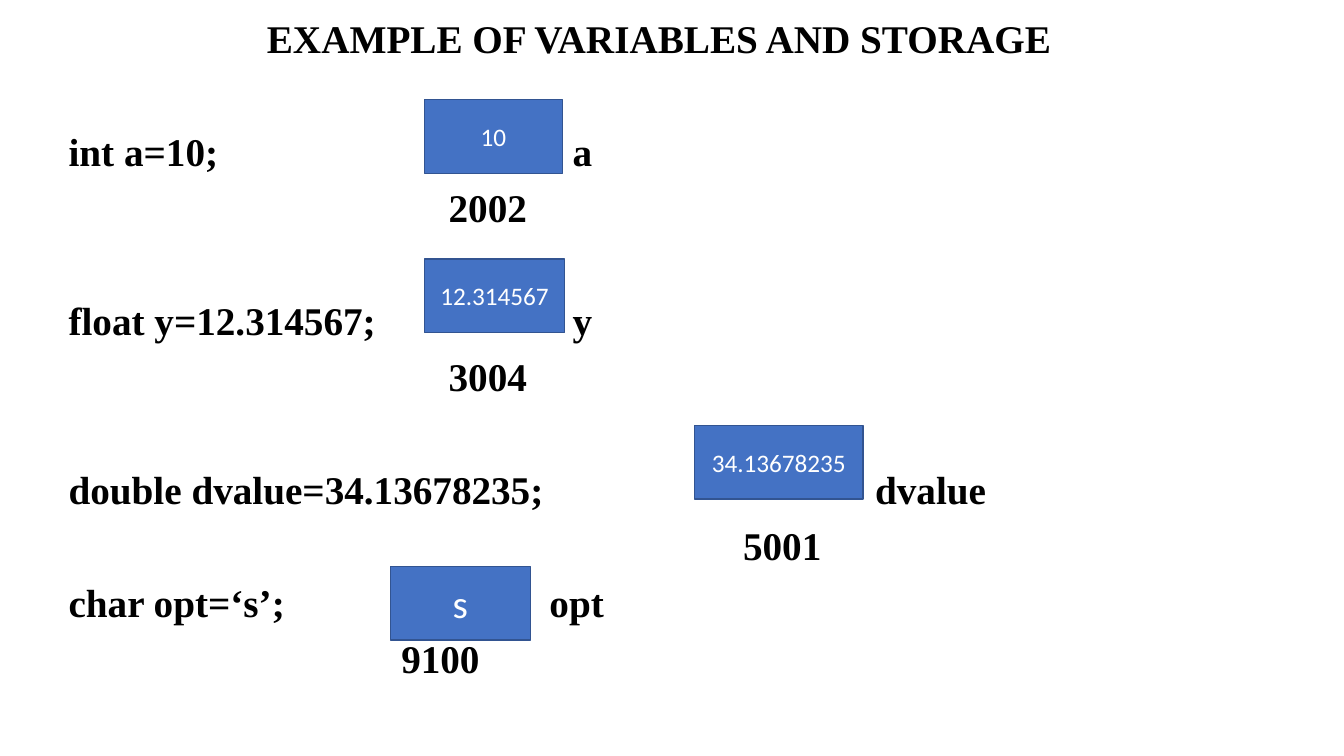
"""Build a slide that shows variables and where they are stored."""
from typing import Any, NamedTuple

import pptx
import pptx.dml.color
import pptx.enum.shapes
import pptx.enum.text
import pptx.oxml.ns
import pptx.util
from lxml import etree

Inches = pptx.util.Inches
Pt = pptx.util.Pt
ALIGN = pptx.enum.text.PP_ALIGN
ANCHOR = pptx.enum.text.MSO_ANCHOR

SERIF = "Times New Roman"
LEFT, WIDTH, TOP, INSET = 0.58, 11.91, 1.26, 0.05
LINE, GAP, BREAK = 30.25, 10, 50.25


class Store(NamedTuple):
    """One variable: its code, its name, its address and its memory box."""

    code: str
    name: str
    name_left: float
    place: str
    indent: float
    value: str
    left: float
    top: float
    width: float
    size: int
    before: float


STORES = [
    Store("int a=10;", "a", 5.68, "2002", 3.77,
          "10", 4.21, 0.99, 1.37, 18, 0),
    Store("float y=12.314567;", "y", 5.68, "3004", 3.77,
          "12.314567", 4.21, 2.57, 1.39, 18, BREAK),
    Store("double dvalue=34.13678235;", "dvalue", 8.68, "5001", 6.69,
          "34.13678235", 6.89, 4.22, 1.67, 18, BREAK),
    Store("char opt=‘s’;", "opt", 5.45, "9100", 3.3,
          "s", 3.87, 5.62, 1.39, 28, GAP),
]


def color(text: str) -> pptx.dml.color.RGBColor:
    """Turn a hex string into a colour."""
    return pptx.dml.color.RGBColor.from_string(text)


def style(line: Any, face: str, size: int, ink: str, bold: bool) -> None:
    """Format every run of a paragraph."""
    for run in line.runs:
        run.font.name = face
        run.font.size = Pt(size)
        run.font.bold = bold
        run.font.color.rgb = color(ink)


def place(holder: Any, top: float, height: float) -> Any:
    """Move a placeholder and return its text frame."""
    holder.left, holder.top = Inches(LEFT), Inches(top)
    holder.width, holder.height = Inches(WIDTH), Inches(height)
    frame = holder.text_frame
    frame.word_wrap = True
    frame.auto_size = pptx.enum.text.MSO_AUTO_SIZE.NONE
    frame.vertical_anchor = ANCHOR.TOP
    return frame


def write(line: Any, text: str, before: float, indent: float = 0,
          align: Any = ALIGN.LEFT) -> None:
    """Fill a paragraph without a bullet, with a left indent."""
    line.text = text
    line.alignment = align
    line.line_spacing = Pt(LINE)
    line.space_before = Pt(before)
    line.space_after = Pt(0)
    style(line, SERIF, 28, "000000", True)
    props = line._p.get_or_add_pPr()
    props.set("marL", str(Inches(indent)))
    props.set("indent", "0")
    etree.SubElement(props, pptx.oxml.ns.qn("a:buNone"))


def label(slide: Any, item: Store, top: float) -> None:
    """Write the name of a variable to the right of its memory box."""
    frame = slide.shapes.add_textbox(
        Inches(item.name_left), Inches(top), Inches(1.5),
        Pt(LINE)).text_frame
    frame.word_wrap = True
    frame.margin_left = frame.margin_right = 0
    frame.margin_top = frame.margin_bottom = 0
    write(frame.paragraphs[0], item.name, 0)


def box(slide: Any, item: Store) -> None:
    """Draw the memory box of a variable."""
    shape = slide.shapes.add_shape(
        pptx.enum.shapes.MSO_SHAPE.RECTANGLE, Inches(item.left),
        Inches(item.top), Inches(item.width), Inches(0.73))
    shape.shadow.inherit = False
    shape.fill.solid()
    shape.fill.fore_color.rgb = color("4472C4")
    shape.line.color.rgb = color("325491")
    shape.line.width = Pt(1)
    frame = shape.text_frame
    frame.text = item.value
    frame.word_wrap = True
    frame.vertical_anchor = ANCHOR.MIDDLE
    line = frame.paragraphs[0]
    line.alignment = ALIGN.CENTER
    style(line, "Calibri", item.size, "FFFFFF", False)


def main() -> None:
    """Build and save the slide."""
    deck = pptx.Presentation()
    deck.slide_width, deck.slide_height = Inches(13.33), Inches(7.5)
    slide = deck.slides.add_slide(deck.slide_layouts[1])
    title = place(slide.shapes.title, 0.14, 0.6)
    write(title.paragraphs[0], "EXAMPLE OF VARIABLES AND STORAGE", 0,
          align=ALIGN.CENTER)
    body = place(slide.placeholders[1], TOP, 7.5 - TOP)
    top = TOP + INSET
    for row, item in enumerate(STORES):
        line = body.add_paragraph() if row else body.paragraphs[0]
        write(line, item.code, item.before)
        write(body.add_paragraph(), item.place, GAP, item.indent)
        top += item.before / 72
        label(slide, item, top)
        box(slide, item)
        top += (LINE + GAP + LINE) / 72
    deck.save("out.pptx")


if __name__ == "__main__":
    main()
